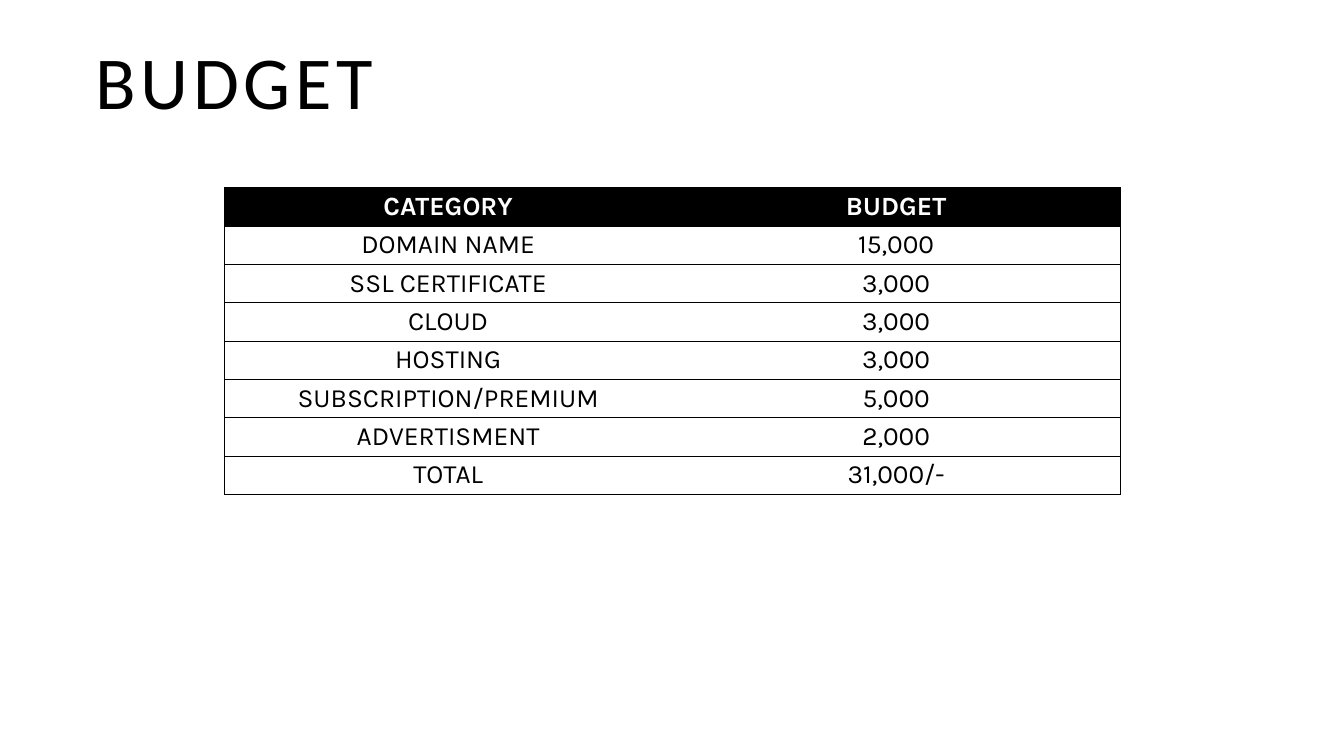
from lxml import etree
from pptx import Presentation
from pptx.dml.color import RGBColor
from pptx.enum.text import MSO_ANCHOR, PP_ALIGN
from pptx.oxml.ns import qn
from pptx.util import Cm, Pt

CENTER, JUSTIFY = PP_ALIGN.CENTER, PP_ALIGN.JUSTIFY
MIDDLE = MSO_ANCHOR.MIDDLE

COLORS = {"ink": "000000", "paper": "FFFFFF"}

ROWS = [
    ("CATEGORY", "BUDGET"),
    ("DOMAIN NAME", "15,000"),
    ("SSL CERTIFICATE", "3,000"),
    ("CLOUD", "3,000"),
    ("HOSTING", "3,000"),
    ("SUBSCRIPTION/PREMIUM", "5,000"),
    ("ADVERTISMENT", "2,000"),
    ("TOTAL", "31,000/-"),
]


def rgb(name):
    return RGBColor.from_string(COLORS[name])


def write(frame, text, font="Karla", size=28.2, color="ink", bold=False,
          align=CENTER, lead=None, track=None):
    """Put one formatted paragraph into a text frame."""
    para = frame.paragraphs[0]
    para.alignment = align
    if lead:
        para.line_spacing = Pt(lead)
    run = para.add_run()
    run.text = text
    run.font.name = font
    run.font.size = Pt(size)
    run.font.bold = bold
    run.font.color.rgb = rgb(color)
    if track:
        run.font._element.set("spc", str(track * 100))


def add_title(slide, text):
    box = slide.shapes.add_textbox(Cm(3.61), Cm(0.74), Cm(25.91), Cm(3.81))
    frame = box.text_frame
    frame.word_wrap = True
    frame.margin_left = frame.margin_right = 0
    frame.margin_top = frame.margin_bottom = 0
    write(frame, text, font="Calibri", size=80, align=JUSTIFY, lead=112, track=5)


def set_edges(cell, shown):
    """Draw the shown edges of a cell and clear the others."""
    props = cell._tc.get_or_add_tcPr()
    for i, side in enumerate("LRTB"):
        line = etree.Element(qn(f"a:ln{side}"), w=str(Pt(0.75)))
        if side in shown:
            fill = etree.SubElement(line, qn("a:solidFill"))
            etree.SubElement(fill, qn("a:srgbClr"), val=COLORS["ink"])
        else:
            etree.SubElement(line, qn("a:noFill"))
        props.insert(i, line)


def add_grid(slide, rows):
    high = Cm(1.45)
    table = slide.shapes.add_table(len(rows), 2, Cm(8.47), Cm(7.09),
                                   Cm(33.87), high * len(rows)).table
    table.first_row = table.horz_banding = False
    for r, row in enumerate(rows):
        table.rows[r].height = high
        head = r == 0
        for c, text in enumerate(row):
            cell = table.cell(r, c)
            cell.vertical_anchor = MIDDLE
            if head:
                cell.fill.solid()
                cell.fill.fore_color.rgb = rgb("ink")
            else:
                cell.fill.background()
            # Rules run across; only the outer sides are closed
            set_edges(cell, "LTB" if c == 0 else "RTB")
            write(cell.text_frame, text, bold=head,
                  color="paper" if head else "ink")


def main():
    deck = Presentation()
    deck.slide_width, deck.slide_height = Cm(50.8), Cm(28.58)
    slide = deck.slides.add_slide(deck.slide_layouts[6])

    # Heading
    add_title(slide, "BUDGET")

    # Budget table
    add_grid(slide, ROWS)

    deck.save("out.pptx")


if __name__ == "__main__":
    main()
